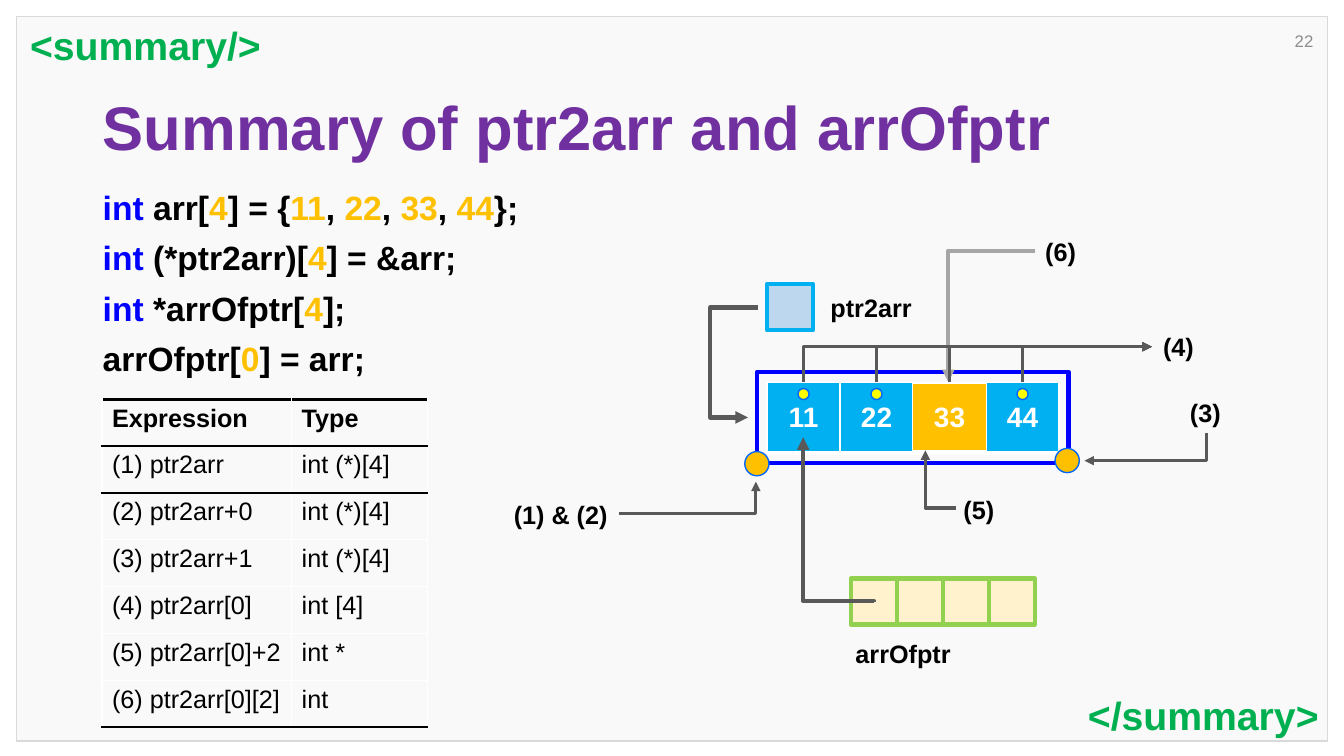
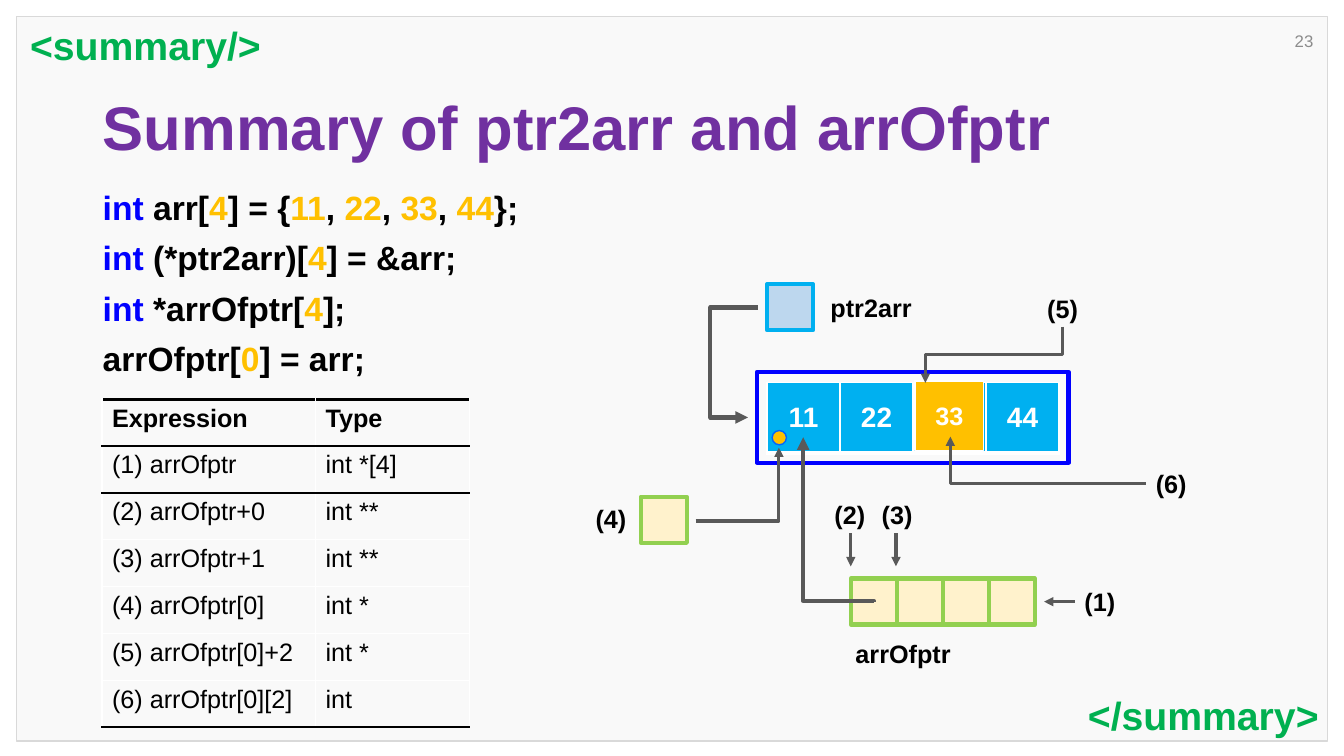
from dataclasses import dataclass

from lxml import etree
from pptx import Presentation, util as u
from pptx.dml.color import RGBColor
from pptx.enum import shapes, text
from pptx.oxml import ns


@dataclass(frozen=True)
class Theme:
    font: str = "Arial"
    black: str = "000000"
    white: str = "FFFFFF"
    panel: str = "F9F9F9"
    panel_edge: str = "D9D9D9"
    purple: str = "7030A0"
    tag: str = "00B050"
    keyword: str = "0000FF"
    amber: str = "FFC000"
    sky: str = "00B0F0"
    pale_sky: str = "BDD7EE"
    cream: str = "FFF2CC"
    lime: str = "92D050"
    yellow: str = "FFFF00"
    ring: str = "0066FF"
    arrow: str = "595959"
    soft_arrow: str = "A6A6A6"
    page: str = "8C8C8C"
    title_size: int = 44
    tag_size: int = 28
    code_size: int = 24
    value_size: int = 20
    label_size: int = 18
    page_size: int = 12


t = Theme()
Cm = u.Cm
RECT, OVAL = shapes.MSO_SHAPE.RECTANGLE, shapes.MSO_SHAPE.OVAL
LEFT, CENTER, RIGHT, JUSTIFY = (
    text.PP_ALIGN.LEFT, text.PP_ALIGN.CENTER, text.PP_ALIGN.RIGHT, text.PP_ALIGN.JUSTIFY)
TOP, MIDDLE = text.MSO_ANCHOR.TOP, text.MSO_ANCHOR.MIDDLE


def box(slide, at, lines=(), kind=None, fill=None, edge=None, weight=1, size=t.label_size,
        bold=True, wrap=False, anchor=TOP, **paragraph_format):
    """Add a preset shape or a text box; each line is a list of (words, colour)."""
    place = [Cm(v) for v in at]
    if kind is None:
        item = slide.shapes.add_textbox(*place)
    else:
        item = slide.shapes.add_shape(kind, *place)
        item.shadow.inherit = False
        if fill:
            item.fill.solid()
            item.fill.fore_color.rgb = RGBColor.from_string(fill)
        else:
            item.fill.background()
        item.line.color.rgb = RGBColor.from_string(edge)
        item.line.width = u.Pt(weight)
    if not lines:
        return
    frame = item.text_frame
    fit = text.MSO_AUTO_SIZE.NONE if wrap or kind else text.MSO_AUTO_SIZE.SHAPE_TO_FIT_TEXT
    for name, value in dict(word_wrap=wrap, auto_size=fit, vertical_anchor=anchor).items():
        setattr(frame, name, value)
    for number, line in enumerate(lines):
        paragraph = frame.add_paragraph() if number else frame.paragraphs[0]
        for name, value in paragraph_format.items():
            setattr(paragraph, name, value)
        for words, colour in line:
            run = paragraph.add_run()
            run.text = words
            for name, value in dict(name=t.font, size=u.Pt(size), bold=bold).items():
                setattr(run.font, name, value)
            run.font.color.rgb = RGBColor.from_string(colour)


def arrow(slide, start, end, turn=0, bend="corner", colour=t.arrow, weight=2.25):
    """Add an arrow that leaves its start in the direction given by turn (degrees).

    bend is None for a straight line, "corner" for one bend, or the share of
    the way at which a line with two bends crosses over.
    """
    mid = [(a + b) / 2 for a, b in zip(start, end)]
    dx, dy = (b - a for a, b in zip(start, end))
    along, across = {0: (dx, dy), 90: (dy, -dx), 180: (-dx, -dy), 270: (-dy, dx)}[turn]
    kind = shapes.MSO_CONNECTOR.STRAIGHT if bend is None else shapes.MSO_CONNECTOR.ELBOW
    link = slide.shapes.add_connector(
        kind, Cm(mid[0] - along / 2), Cm(mid[1] - across / 2),
        Cm(mid[0] + along / 2), Cm(mid[1] + across / 2))
    link.line.color.rgb = RGBColor.from_string(colour)
    link.line.width = u.Pt(weight)
    properties = link._element.spPr
    geometry = properties.find(ns.qn("a:prstGeom"))
    if turn:
        properties.find(ns.qn("a:xfrm")).set("rot", str(turn * 60000))
    if bend == "corner":
        geometry.set("prst", "bentConnector2")
    elif bend is not None:
        guides = geometry.find(ns.qn("a:avLst"))
        etree.SubElement(guides, ns.qn("a:gd"), name="adj1", fmla=f"val {round(bend * 100000)}")
    outline = properties.find(ns.qn("a:ln"))
    etree.SubElement(outline, ns.qn("a:tailEnd"), type="triangle")
    etree.SubElement(properties, ns.qn("a:effectLst"))


# Shared content
TITLE = "Summary of ptr2arr and arrOfptr"
VALUES = ["11", "22", "33", "44"]
K, B, A = t.keyword, t.black, t.amber
CODE = [
    [("int ", K), ("arr[", B), ("4", A), ("] = {", B), ("11", A), (", ", B), ("22", A),
     (", ", B), ("33", A), (", ", B), ("44", A), ("};", B)],
    [("int", K), (" (*ptr2arr)[", B), ("4", A), ("] = &arr;", B)],
    [("int ", K), ("*arrOfptr[", B), ("4", A), ("];", B)],
    [("arrOfptr[", B), ("0", A), ("] = arr;", B)],
]

# Measures of the memory diagram, in centimetres
SLOT = 1.16
ARRAY_LEFT, ARRAY_TOP, CELL_WIDTH, CELL_HEIGHT = 19.33, 9.63, 1.84, 1.78
POINTERS_LEFT, POINTERS_TOP = 21.44, 14.58
LABEL_WIDTH, LABEL_HEIGHT = 1.3, 1.02
centres = [ARRAY_LEFT + CELL_WIDTH * (i + 0.5) for i in range(len(VALUES))]
DOT = 0.28

# What differs between the slides
summaries = [
    dict(
        page="22",
        columns=[4.78, 3.43],
        expressions=[
            ["(1) ptr2arr", "int (*)[4]"], ["(2) ptr2arr+0", "int (*)[4]"],
            ["(3) ptr2arr+1", "int (*)[4]"], ["(4) ptr2arr[0]", "int [4]"],
            ["(5) ptr2arr[0]+2", "int *"], ["(6) ptr2arr[0][2]", "int"]],
        highlight=(22.99, 9.65, 1.88, 1.7), highlight_size=t.value_size,
        slots=[],
        dots=[(18.77, 11.38, 0.61, t.amber), (26.59, 11.3, 0.61, t.amber)]
        + [(centres[i] - DOT / 2, 9.79, DOT, t.yellow) for i in (0, 1, 3)],
        labels=[("(1) & (2)", 12.7, 12.45), ("(3)", 29.74, 9.88), ("(4)", 29.06, 8.23),
                ("(5)", 24.03, 12.32), ("(6)", 26.09, 5.82)],
        arrows=[dict(start=(15.6, 12.95), end=(19.05, 12.14)),
                dict(start=(30.4, 10.9), end=(27.33, 11.61), turn=90),
                dict(start=(24.1, 12.8), end=(23.32, 11.35), turn=180),
                dict(start=(26.09, 6.32), end=(23.9, 9.63), turn=180,
                     colour=t.soft_arrow, weight=3)]
        + [dict(start=(x, ARRAY_TOP), end=(29.03, 8.74), turn=90) for x in centres],
    ),
    dict(
        page="23",
        columns=[5.38, 3.89],
        expressions=[
            ["arrOfptr", "int *[4]"], ["(2) arrOfptr+0", "int **"],
            ["(3) arrOfptr+1", "int **"], ["(4) arrOfptr[0]", "int *"],
            ["(5) arrOfptr[0]+2", "int *"], ["(6) arrOfptr[0][2]", "int"]],
        highlight=(23.06, 9.6, 1.73, 1.75), highlight_size=t.label_size,
        slots=[(16.15, 12.52)],
        dots=[(19.46, 10.85, 0.36, t.amber)],
        labels=[("(1)", 27.08, 14.66), ("(2)", 20.78, 12.45), ("(3)", 21.97, 12.47),
                ("(4)", 14.76, 12.57), ("(5)", 26.14, 7.26), ("(6)", 28.88, 11.68)],
        arrows=[dict(start=(27.08, 15.16), end=(26.31, 15.16), bend=None),
                dict(start=(21.44, 13.44), end=(21.44, 14.27), bend=None),
                dict(start=(22.58, 13.44), end=(22.58, 14.27), bend=None),
                dict(start=(17.53, 13.13), end=(19.63, 11.28)),
                dict(start=(26.77, 8.23), end=(23.32, 9.65), turn=90, bend=0.5),
                dict(start=(28.88, 12.19), end=(23.95, 11), turn=180)],
    ),
]

deck = Presentation()
deck.slide_width, deck.slide_height = Cm(33.87), Cm(19.05)

for summary in summaries:
    slide = deck.slides.add_slide(deck.slide_layouts[6])

    # Panel, page number, title and tags
    box(slide, (0.41, 0.41, 33.05, 18.26), kind=RECT, fill=t.panel, edge=t.panel_edge)
    box(slide, (32.28, 0.51, 1.07, 1.02), [[(summary["page"], t.page)]], size=t.page_size,
        bold=False, wrap=True, anchor=MIDDLE, alignment=RIGHT)
    box(slide, (2.34, 1.88, 27.28, 2.82), [[(TITLE, t.purple)]], size=t.title_size,
        wrap=True, anchor=MIDDLE, line_spacing=0.9)
    for tag, left, top, side in (("<summary/>", 0.51, 0.41, LEFT),
                                 ("</summary>", 27.08, 17.3, RIGHT)):
        box(slide, (left, top, 6.4, 1.45), [[(tag, t.tag)]], size=t.tag_size, alignment=side)

    # Declarations
    box(slide, (2.34, 4.7, 13.26, 5.28), CODE, size=t.code_size, wrap=True,
        alignment=JUSTIFY, line_spacing=0.9, space_before=u.Pt(10))

    # Array of values and table of expressions
    thin, rule = (t.white, 1), (t.black, 2.25)
    array = dict(
        left=ARRAY_LEFT, top=ARRAY_TOP, columns=[CELL_WIDTH] * len(VALUES), height=CELL_HEIGHT,
        rows=[VALUES], edges=[thin, (t.white, 3)], fill=t.sky, colour=t.white,
        size=t.value_size, anchor=MIDDLE, alignment=CENTER)
    expressions = dict(
        left=2.57, top=10.06, columns=summary["columns"], height=1.18,
        rows=[["Expression", "Type"]] + summary["expressions"],
        edges=[rule] * 3 + [thin] * 4 + [rule], fill=None, colour=t.black,
        size=t.label_size, anchor=TOP, alignment=LEFT)
    for grid in (array, expressions):
        rows, columns = grid["rows"], grid["columns"]
        table = slide.shapes.add_table(
            len(rows), len(columns), Cm(grid["left"]), Cm(grid["top"]),
            Cm(sum(columns)), Cm(grid["height"] * len(rows))).table
        table.first_row = table.horz_banding = False
        for column, width in zip(table.columns, columns):
            column.width = Cm(width)
        for r, row in enumerate(rows):
            table.rows[r].height = Cm(grid["height"])
            for c, words in enumerate(row):
                cell = table.cell(r, c)
                cell.vertical_anchor = grid["anchor"]
                paragraph = cell.text_frame.paragraphs[0]
                paragraph.alignment = grid["alignment"]
                run = paragraph.add_run()
                run.text = words
                for name, value in dict(name=t.font, size=u.Pt(grid["size"]),
                                        bold=r == 0).items():
                    setattr(run.font, name, value)
                run.font.color.rgb = RGBColor.from_string(grid["colour"])
                if words == "arrOfptr":
                    numbering = paragraph._p.get_or_add_pPr()
                    numbering.set("marL", "342900")
                    numbering.set("indent", "-342900")
                    etree.SubElement(numbering, ns.qn("a:buAutoNum"), type="arabicParenBoth")
                borders = cell._tc.get_or_add_tcPr()
                for side, (colour, weight) in zip(
                        "LRTB", (thin, thin, grid["edges"][r], grid["edges"][r + 1])):
                    border = etree.SubElement(borders, ns.qn("a:ln" + side),
                                              w=str(u.Pt(weight)))
                    paint = etree.SubElement(border, ns.qn("a:solidFill"))
                    etree.SubElement(paint, ns.qn("a:srgbClr"), val=colour)
                if grid["fill"]:
                    cell.fill.solid()
                    cell.fill.fore_color.rgb = RGBColor.from_string(grid["fill"])
                else:
                    cell.fill.background()

    # Pointer to the array, array of pointers and their targets
    box(slide, (19.08, 9.37, 7.85, 2.29), kind=RECT, edge=t.keyword, weight=3)
    box(slide, (ARRAY_LEFT, 7.16, SLOT, SLOT), kind=RECT, fill=t.pale_sky, edge=t.sky, weight=3)
    pointers = [(POINTERS_LEFT + SLOT * i, POINTERS_TOP) for i in range(len(VALUES))]
    for left, top in pointers + summary["slots"]:
        box(slide, (left, top, SLOT, SLOT), kind=RECT, fill=t.cream, edge=t.lime, weight=3)
    box(slide, (20.68, 7.24, 2.59, LABEL_HEIGHT), [[("ptr2arr", t.black)]])
    box(slide, (21.31, 15.95, 2.95, LABEL_HEIGHT), [[("arrOfptr", t.black)]])
    arrow(slide, (19.1, 7.75), (18.85, 10.52), turn=180, bend=4.8, weight=3)
    arrow(slide, (22.02, 15.18), (20.24, 11.02), turn=270, bend=0.01, weight=3)

    # Numbered expressions located in the diagram
    box(slide, summary["highlight"], [[(VALUES[2], t.white)]], kind=RECT, fill=t.amber,
        edge=t.white, size=summary["highlight_size"], anchor=MIDDLE, alignment=CENTER)
    for left, top, size, fill in summary["dots"]:
        box(slide, (left, top, size, size), kind=OVAL, fill=fill, edge=t.ring)
    for route in summary["arrows"]:
        arrow(slide, **route)
    for words, left, top in summary["labels"]:
        width = LABEL_WIDTH if len(words) == 3 else 2.9
        box(slide, (left, top, width, LABEL_HEIGHT), [[(words, t.black)]])

deck.save("out.pptx")
